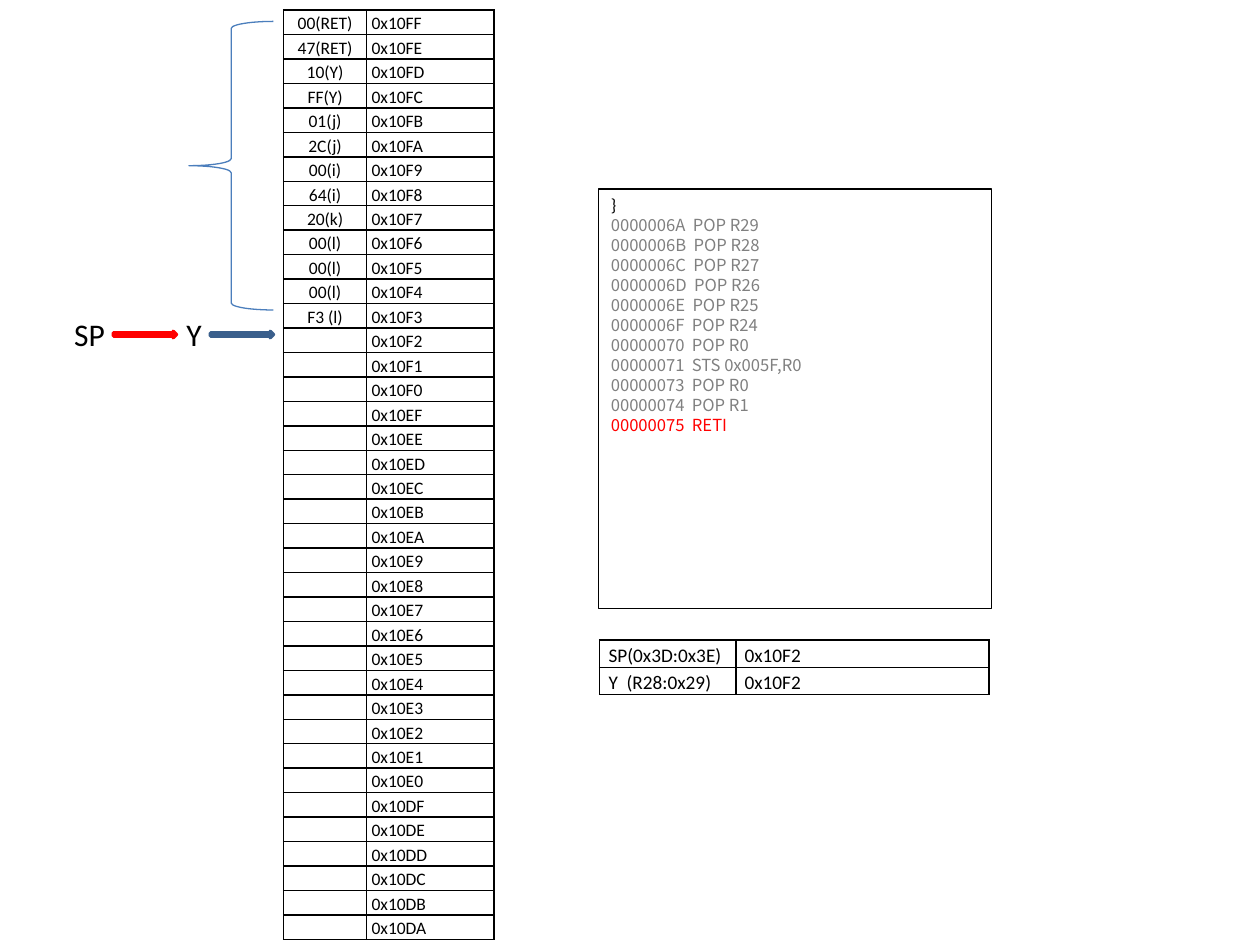
from dataclasses import dataclass

from lxml import etree
from pptx import Presentation
from pptx import util as u
from pptx.dml.color import RGBColor
from pptx.enum import shapes, text
from pptx.oxml import ns

COLORS = {
    "ink": "000000",
    "paper": "FFFFFF",
    "done": "808080",
    "current": "FF0000",
    "arrow": "4F81BD",
    "arrow_edge": "3A5F8C",
    "brace": "4B7EBC",
}
LEFT, CENTER = text.PP_ALIGN.LEFT, text.PP_ALIGN.CENTER


@dataclass
class Grid:
    left: float
    top: float
    widths: tuple[float, ...]
    row_height: float
    size: float
    margin: float
    aligns: tuple
    rows: list[tuple[str, ...]]


@dataclass
class Pointer:
    label: str
    label_left: float
    label_width: float
    arrow_left: float
    edge: str


STACK_TOP, STACK_BOTTOM = 0x10FF, 0x10DA
STACK_BYTES = ["00(RET)", "47(RET)", "10(Y)", "FF(Y)", "01(j)", "2C(j)", "00(i)",
               "64(i)", "20(k)", "00(l)", "00(l)", "00(l)", "F3 (l)"]
ADDRESSES = range(STACK_TOP, STACK_BOTTOM - 1, -1)
UNUSED = [""] * (len(ADDRESSES) - len(STACK_BYTES))

STACK = Grid(2.25, 0.08, (0.66, 1.01), 0.19, 10, 0.04, (CENTER, LEFT),
             [(byte, f"0x{address:04X}")
              for byte, address in zip(STACK_BYTES + UNUSED, ADDRESSES)])
REGISTERS = Grid(4.76, 5.08, (1.08, 2.01), 0.21, 11, 0.07, (LEFT, LEFT),
                 [("SP(0x3D:0x3E)", "0x10F2"), ("Y  (R28:0x29)", "0x10F2")])
POINTERS = [
    Pointer("Y", 1.38, 0.25, 1.67, "arrow_edge"),
    Pointer("SP", 0.49, 0.45, 0.9, "current"),
]
EPILOGUE = [
    "0000006A  POP R29",
    "0000006B  POP R28",
    "0000006C  POP R27",
    "0000006D  POP R26",
    "0000006E  POP R25",
    "0000006F  POP R24",
    "00000070  POP R0",
    "00000071  STS 0x005F,R0",
    "00000073  POP R0",
    "00000074  POP R1",
]
RETURN = "00000075  RETI"


def rgb(name: str) -> RGBColor:
    return RGBColor.from_string(COLORS[name])


def write(paragraph, words: str, *, size: float, font: str = "Calibri",
          color: str = "ink", align=LEFT, spacing=None) -> None:
    paragraph.alignment = align
    if spacing:
        paragraph.line_spacing = spacing
    if not words:
        paragraph._p.get_or_add_endParaRPr().set("sz", str(int(size * 100)))
        return
    run = paragraph.add_run()
    run.text = words
    run.font.size = u.Pt(size)
    run.font.name = font
    run.font.color.rgb = rgb(color)
    for script in ("a:ea", "a:cs"):
        etree.SubElement(run.font._element, ns.qn(script), typeface=font)


def draw_borders(cell, width: float = 1) -> None:
    properties = cell._tc.get_or_add_tcPr()
    for side in ("a:lnL", "a:lnR", "a:lnT", "a:lnB"):
        edge = etree.SubElement(properties, ns.qn(side), w=str(u.Pt(width)))
        fill = etree.SubElement(edge, ns.qn("a:solidFill"))
        etree.SubElement(fill, ns.qn("a:srgbClr"), val=COLORS["ink"])


def draw_grid(slide, grid: Grid) -> None:
    table = slide.shapes.add_table(
        len(grid.rows), len(grid.widths), u.Inches(grid.left), u.Inches(grid.top),
        u.Inches(sum(grid.widths)), u.Inches(grid.row_height * len(grid.rows))).table
    table.first_row = table.horz_banding = False
    for column, width in zip(table.columns, grid.widths):
        column.width = u.Inches(width)
    for row, entries in zip(table.rows, grid.rows):
        row.height = u.Inches(grid.row_height)
        for cell, words, align in zip(row.cells, entries, grid.aligns):
            cell.margin_left = cell.margin_right = u.Inches(grid.margin)
            cell.margin_top = cell.margin_bottom = 0
            draw_borders(cell)
            cell.fill.background()
            write(cell.text_frame.paragraphs[0], words, size=grid.size,
                  align=align, spacing=1.15)


def draw_shape(parent, preset, box: tuple[float, ...], *, edge: str,
               width: float, fill: str | None = None):
    shape = parent.shapes.add_shape(preset, *map(u.Inches, box))
    shape.shadow.inherit = False
    if fill:
        shape.fill.solid()
        shape.fill.fore_color.rgb = rgb(fill)
    else:
        shape.fill.background()
    shape.line.color.rgb = rgb(edge)
    shape.line.width = u.Pt(width)
    return shape


def draw_pointer(slide, pointer: Pointer) -> None:
    group = slide.shapes.add_group_shape()
    draw_shape(group, shapes.MSO_SHAPE.RIGHT_ARROW,
               (pointer.arrow_left, 2.63, 0.5, 0.05),
               edge=pointer.edge, width=2, fill="arrow")
    label = group.shapes.add_textbox(
        *map(u.Inches, (pointer.label_left, 2.45, pointer.label_width, 0.4)))
    label.text_frame.word_wrap = False
    label.text_frame.auto_size = text.MSO_AUTO_SIZE.SHAPE_TO_FIT_TEXT
    write(label.text_frame.paragraphs[0], pointer.label, size=18)


def draw_listing(slide) -> None:
    panel = draw_shape(slide, shapes.MSO_SHAPE.RECTANGLE, (4.75, 1.5, 3.12, 3.33),
                       edge="ink", width=0.75, fill="paper")
    frame = panel.text_frame
    frame.word_wrap = True
    frame.vertical_anchor = text.MSO_ANCHOR.TOP
    pitch = u.Pt(11.4)
    write(frame.paragraphs[0], "}", size=10, spacing=pitch)
    for line in EPILOGUE + [RETURN]:
        write(frame.add_paragraph(), line, size=9.5, font="Noto Sans CJK SC",
              color="current" if line == RETURN else "done", spacing=pitch)


def main() -> None:
    deck = Presentation()
    deck.slide_width, deck.slide_height = u.Inches(10), u.Inches(7.5)
    slide = deck.slides.add_slide(deck.slide_layouts[6])
    for grid in (STACK, REGISTERS):
        draw_grid(slide, grid)
    draw_listing(slide)
    for pointer in POINTERS:
        draw_pointer(slide, pointer)
    draw_shape(slide, shapes.MSO_SHAPE.LEFT_BRACE, (1.5, 0.17, 0.67, 2.29),
               edge="brace", width=0.75)
    deck.save("out.pptx")


if __name__ == "__main__":
    main()
